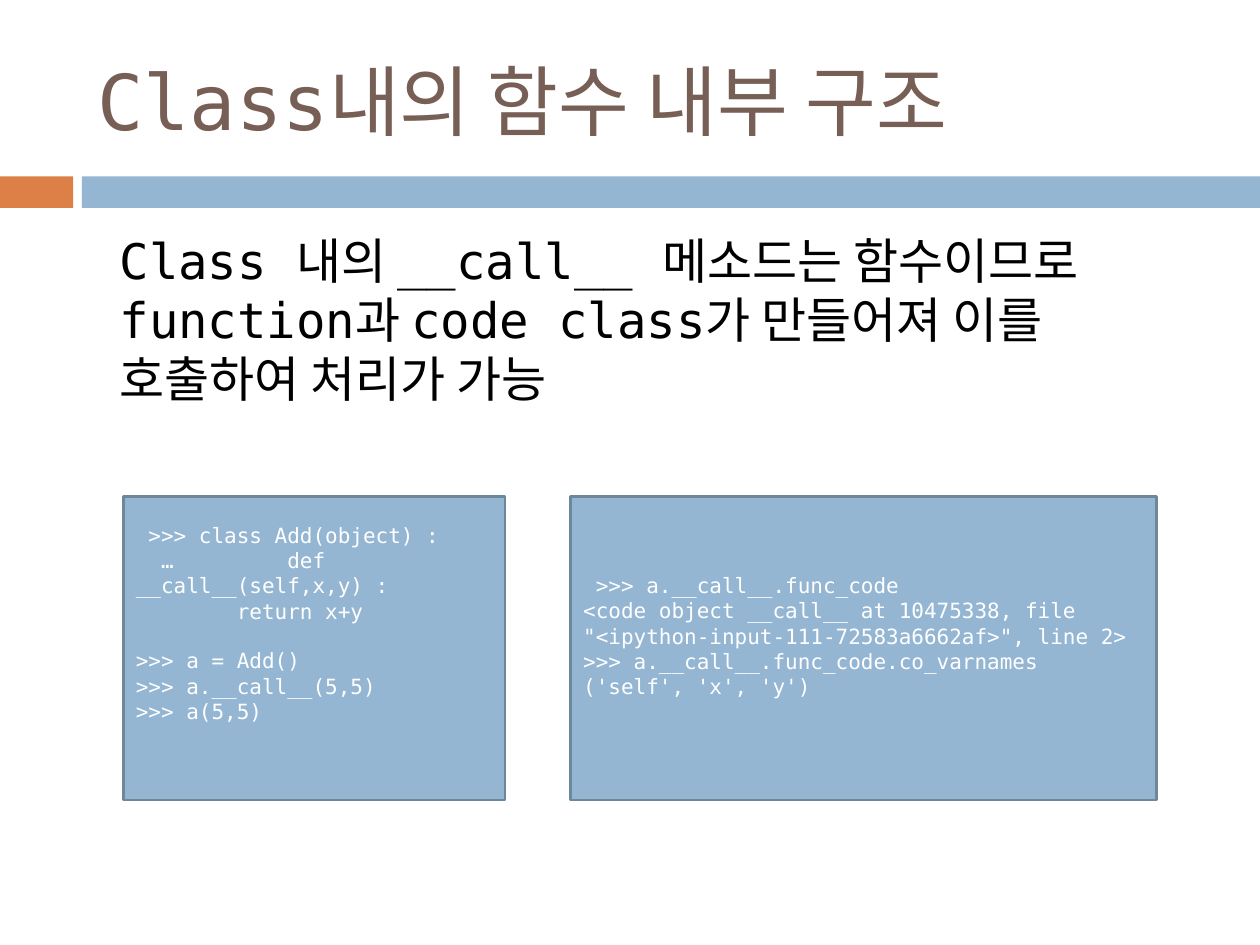
from pptx import Presentation
from pptx.dml.color import RGBColor
from pptx.enum.shapes import MSO_SHAPE
from pptx.enum.text import MSO_ANCHOR, MSO_AUTO_SIZE, PP_ALIGN
from pptx.util import Inches, Pt

RECTANGLE = MSO_SHAPE.RECTANGLE
MIDDLE = MSO_ANCHOR.MIDDLE
LEFT = PP_ALIGN.LEFT
NO_AUTOFIT = MSO_AUTO_SIZE.NONE
FONT = "DejaVu Sans Mono"
COLORS = {
    "orange": "DD8047",
    "blue": "94B6D2",
    "outline": "6D879B",
    "title": "775F55",
    "body": "000000",
    "code": "FFFFFF",
}

presentation = Presentation()
presentation.slide_width = Inches(10)
presentation.slide_height = Inches(7.5)
column = presentation.slide_width / 100
row = presentation.slide_height / 75
slide = presentation.slides.add_slide(presentation.slide_layouts[5])


def format_text(text_frame, size, color):
    text_frame.word_wrap = True
    text_frame.auto_size = NO_AUTOFIT
    for paragraph in text_frame.paragraphs:
        paragraph.alignment = LEFT
        for run in paragraph.runs:
            run.font.name = FONT
            run.font.size = Pt(size)
            run.font.color.rgb = RGBColor.from_string(COLORS[color])


def add_rectangle(left, top, width, height, color):
    shape = slide.shapes.add_shape(
        RECTANGLE, int(left * column), int(top * row), int(width * column), int(height * row)
    )
    shape.shadow.inherit = False
    shape.fill.solid()
    shape.fill.fore_color.rgb = RGBColor.from_string(COLORS[color])
    shape.line.fill.background()
    return shape


for left, width, color in [(0, 5.8, "orange"), (6.5, 93.5, "blue")]:
    add_rectangle(left, 14, width, 2.5, color)

title = slide.shapes.title
title.left, title.top = int(6.7 * column), int(2.5 * row)
title.width, title.height = int(89.2 * column), int(10.8 * row)
title.text_frame.text = "Class내의 함수 내부 구조"
title.text_frame.vertical_anchor = MIDDLE
format_text(title.text_frame, 44, "title")

body = slide.shapes.add_textbox(
    int(5 * column), int(17.8 * row), int(90 * column), int(14.2 * row)
)
body.text_frame.text = (
    "Class 내의 __call__ 메소드는 함수이므로 function과 code class가 "
    "만들어져 이를 호출하여 처리가 가능"
)
body.text_frame.margin_left = Inches(0.45)
format_text(body.text_frame, 28, "body")

class_code = [
    " >>> class Add(object) :",
    "  …         def __call__(self,x,y) :",
    "        return x+y",
    ">>> a = Add()",
    ">>> a.__call__(5,5)",
    ">>> a(5,5)",
]
inspection_code = [
    " >>> a.__call__.func_code",
    '<code object __call__ at 10475338, file "<ipython-input-111-72583a6662af>", line 2>',
    ">>> a.__call__.func_code.co_varnames",
    "('self', 'x', 'y')",
]
code_panels = [
    (9.8, 30.3, class_code, 0.45),
    (45.3, 46.5, inspection_code, 0.25),
]
for left, width, lines, bottom_margin in code_panels:
    panel = add_rectangle(left, 39.4, width, 24.1, "blue")
    panel.line.color.rgb = RGBColor.from_string(COLORS["outline"])
    panel.line.width = Pt(1.5)
    text_frame = panel.text_frame
    text_frame.text = "\n".join(lines)
    text_frame.vertical_anchor = MIDDLE
    text_frame.margin_bottom = Inches(bottom_margin)
    format_text(text_frame, 12, "code")
    for paragraph in text_frame.paragraphs:
        if paragraph.text == ">>> a = Add()":
            paragraph.space_before = Pt(14)

presentation.save("out.pptx")
